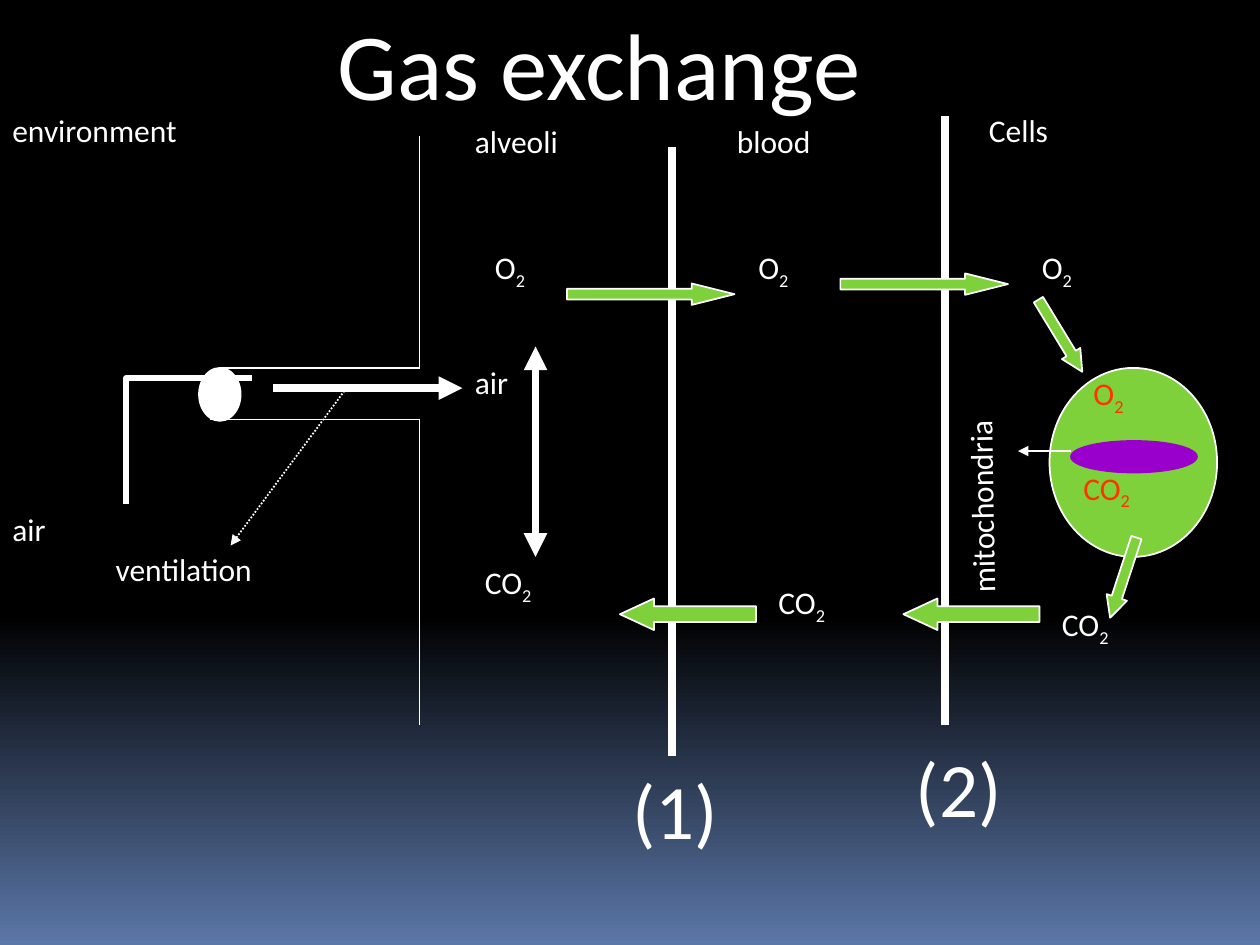
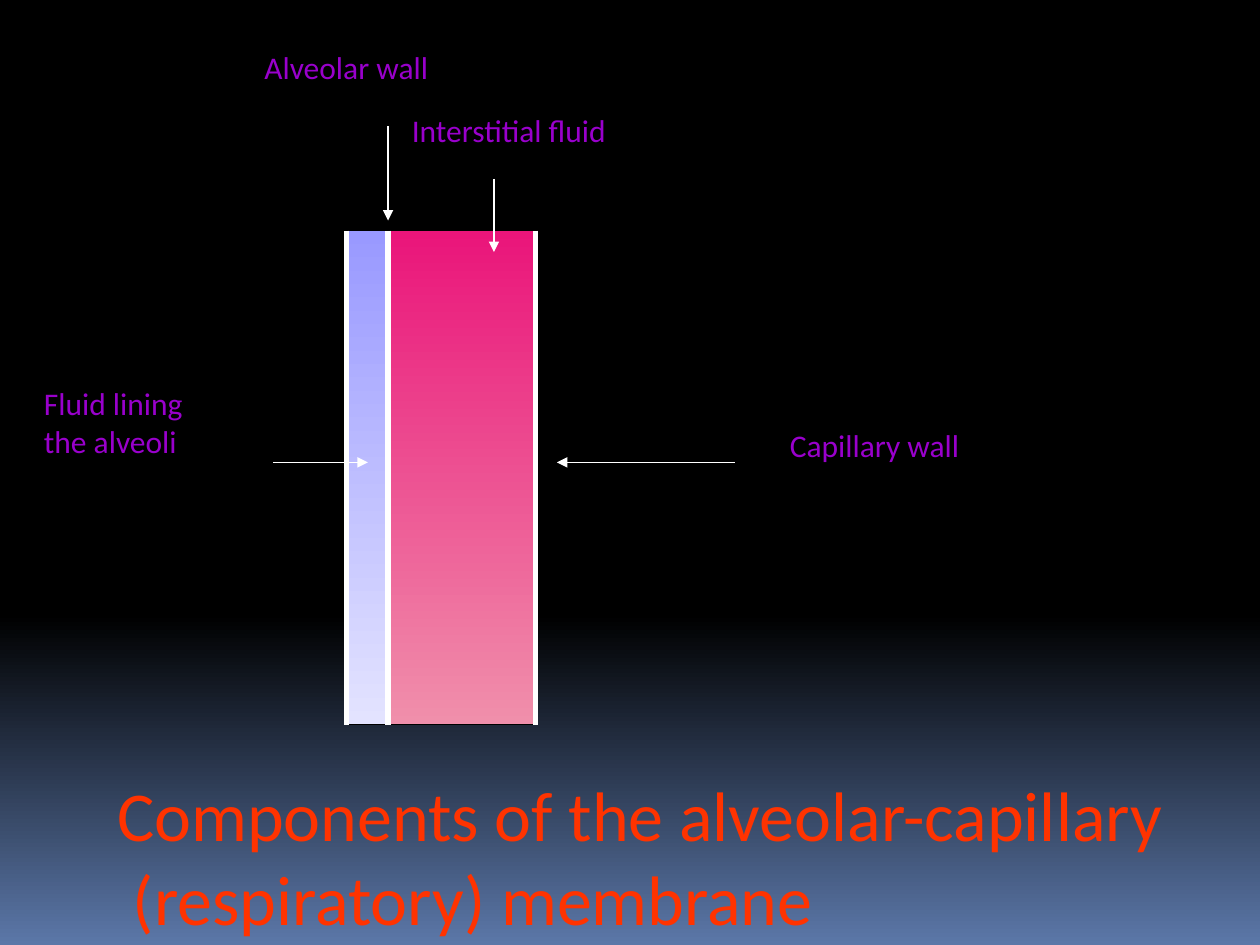
from copy import deepcopy

from pptx import Presentation
from pptx.dml.color import RGBColor
from pptx.enum.dml import MSO_LINE
from pptx.enum.shapes import MSO_CONNECTOR, MSO_SHAPE
from pptx.enum.text import MSO_ANCHOR, MSO_AUTO_SIZE, PP_ALIGN
from pptx.oxml.ns import qn
from pptx.util import Inches, Pt

FONT = "Calibri"
WHITE = RGBColor(0xFF, 0xFF, 0xFF)
BLACK = RGBColor(0x00, 0x00, 0x00)
STEEL_BLUE = RGBColor(0x5B, 0x77, 0xA8)
GREEN = RGBColor(0x7F, 0xD1, 0x3B)
PURPLE = RGBColor(0x99, 0x00, 0xCC)
RED = RGBColor(0xFF, 0x33, 0x00)
PINK = RGBColor(0xEA, 0x15, 0x7A)
PALE_PINK = RGBColor(0xF0, 0x8F, 0xAB)
LILAC = RGBColor(0x99, 0x99, 0xFF)
PALE_LILAC = RGBColor(0xE3, 0xE3, 0xFF)
BACKGROUND_STOPS = [(0, BLACK), (0.65, BLACK), (1, STEEL_BLUE)]


def write_text(slide, text, left, top, width, height=0.57, size=18, color=WHITE,
               subscript="", rotation=0, title=False):
    if title:
        shape = slide.shapes.title
        shape.left, shape.top = Inches(left), Inches(top)
        shape.width, shape.height = Inches(width), Inches(height)
    else:
        shape = slide.shapes.add_textbox(
            Inches(left), Inches(top), Inches(width), Inches(height))
    shape.rotation = rotation
    frame = shape.text_frame
    frame.word_wrap = True
    frame.auto_size = MSO_AUTO_SIZE.NONE
    frame.vertical_anchor = MSO_ANCHOR.TOP
    frame.text = text
    if subscript:
        run = frame.paragraphs[0].add_run()
        run.text = subscript
        run.font._element.set("baseline", "-25000")
    for paragraph in frame.paragraphs:
        paragraph.alignment = PP_ALIGN.LEFT
        for run in paragraph.runs:
            run.font.name = FONT
            run.font.size = Pt(size)
            run.font.color.rgb = color


def draw_line(slide, start, end, width=1, dash=None, arrows=()):
    connector = slide.shapes.add_connector(
        MSO_CONNECTOR.STRAIGHT, *[Inches(value) for value in (*start, *end)])
    connector.line.color.rgb = WHITE
    connector.line.width = Pt(width)
    if dash:
        connector.line.dash_style = dash
    outline = connector.line._get_or_add_ln()
    for arrow in arrows:
        outline.append(outline.makeelement(qn(f"a:{arrow}"), {"type": "triangle"}))
    properties = connector._element.spPr
    properties.append(properties.makeelement(qn("a:effectLst"), {}))


presentation = Presentation()
presentation.slide_width = Inches(10)
presentation.slide_height = Inches(7.5)
title_only = presentation.slide_layouts[5]
exchange = presentation.slides.add_slide(title_only)
membrane = presentation.slides.add_slide(title_only)
gradients = [(slide.background.fill, BACKGROUND_STOPS) for slide in (exchange, membrane)]

write_text(exchange, "Gas exchange", 2.58, 0, 4.76, 1, size=54, title=True)

for start, end, width in [
    ((3.33, 1.08), (3.33, 2.92), 1),
    ((3.33, 3.33), (3.33, 5.75), 1),
    ((5.33, 1.17), (5.33, 6), 4.5),
    ((7.5, 0.92), (7.5, 5.75), 4.5),
    ((3.33, 2.92), (1.75, 2.92), 1),
    ((3.33, 3.33), (1.67, 3.33), 1),
]:
    draw_line(exchange, start, end, width)

for kind, left, top, width, height, rotation, head, fill, outline in [
    (MSO_SHAPE.OVAL, 1.58, 2.92, 0.33, 0.42, 0, None, WHITE, WHITE),
    (MSO_SHAPE.RIGHT_ARROW, 4.5, 2.25, 1.33, 0.17, 0, 2, GREEN, WHITE),
    (MSO_SHAPE.RIGHT_ARROW, 6.67, 2.17, 1.33, 0.17, 0, 2, GREEN, WHITE),
    (MSO_SHAPE.OVAL, 8.33, 2.92, 1.33, 1.5, 0, None, GREEN, WHITE),
    (MSO_SHAPE.OVAL, 8.5, 3.5, 1, 0.25, 0, None, PURPLE, PURPLE),
    (MSO_SHAPE.LEFT_ARROW, 7.17, 4.75, 1.08, 0.25, 0, 1.08, GREEN, WHITE),
    (MSO_SHAPE.LEFT_ARROW, 4.92, 4.75, 1.08, 0.25, 0, 1.08, GREEN, WHITE),
    (MSO_SHAPE.RIGHT_ARROW, 8.08, 2.58, 0.67, 0.17, 58.7, 1, GREEN, WHITE),
    (MSO_SHAPE.RIGHT_ARROW, 8.58, 4.5, 0.67, 0.17, 108.2, 1, GREEN, WHITE),
]:
    shape = exchange.shapes.add_shape(
        kind, Inches(left), Inches(top), Inches(width), Inches(height))
    shape.rotation = rotation
    shape.shadow.inherit = False
    shape.fill.solid()
    shape.fill.fore_color.rgb = fill
    shape.line.color.rgb = outline
    shape.line.width = Pt(1)
    if head:
        shape.adjustments[0] = 0.5
        shape.adjustments[1] = head

STEPS = 16
airway_points = []
for curve in [
    [(0.75, 4.17), (0.72, 3.88), (0.68, 3.6), (0.92, 3.42)],
    [(0.92, 3.42), (1.15, 3.24), (1.96, 3.14), (2.17, 3.08)],
]:
    for step in range(STEPS + 1):
        t = step / STEPS
        weights = [(1 - t) ** 3, 3 * t * (1 - t) ** 2, 3 * t ** 2 * (1 - t), t ** 3]
        airway_points.append([
            sum(weight * value for weight, value in zip(weights, axis))
            for axis in zip(*curve)])
builder = exchange.shapes.build_freeform(*airway_points[0], scale=Inches(1))
builder.add_line_segments(airway_points[1:], close=False)
airway = builder.convert_to_shape()
airway.shadow.inherit = False
airway.fill.background()
airway.line.color.rgb = WHITE
airway.line.width = Pt(3)

draw_line(exchange, (2.17, 3.08), (3.67, 3.08), 4.5, arrows=["tailEnd"])
draw_line(exchange, (2.75, 3.08), (1.83, 4.33), dash=MSO_LINE.ROUND_DOT, arrows=["tailEnd"])
draw_line(exchange, (8.5, 3.58), (8.08, 3.58), arrows=["tailEnd"])
draw_line(exchange, (4.25, 2.75), (4.25, 4.42), 4.5, arrows=["headEnd", "tailEnd"])

for text, left, top, width in [
    ("environment", 0, 0.83, 2.36),
    ("alveoli", 3.67, 0.92, 1.45),
    ("blood", 5.75, 0.92, 1.28),
    ("Cells", 7.75, 0.83, 1.19),
    ("ventilation", 0.82, 4.32, 2.06),
    ("air", 0, 4, 0.81),
    ("air", 3.67, 2.83, 0.81),
]:
    write_text(exchange, text, left, top, width)
write_text(exchange, "mitochondria", 6.63, 3.28, 2.47, rotation=269)

for text, left, top, color in [
    ("O", 3.83, 1.92, WHITE),
    ("O", 5.92, 1.92, WHITE),
    ("O", 8.17, 1.92, WHITE),
    ("O", 8.58, 2.92, RED),
    ("CO", 8.5, 3.67, RED),
    ("CO", 8.33, 4.75, WHITE),
    ("CO", 6.08, 4.58, WHITE),
    ("CO", 3.75, 4.42, WHITE),
]:
    write_text(exchange, text, left, top, 1.07, color=color, subscript="2")

for text, left, top in [("(1)", 4.92, 6), ("(2)", 7.17, 5.83)]:
    write_text(exchange, text, left, top, 1.22, 0.83, size=44)

write_text(membrane, "Components of the alveolar-capillary\n (respiratory) membrane",
           0.83, 6.07, 8.77, 1.43, size=40, color=RED, title=True)

LAYER_TOP, LAYER_BOTTOM = 1.83, 5.75
WALLS = [2.75, 3.08, 4.25]
for left, right, top_color, bottom_color in [
    (WALLS[1], WALLS[2], PINK, PALE_PINK),
    (WALLS[0], WALLS[1], LILAC, PALE_LILAC),
]:
    layer = membrane.shapes.add_shape(
        MSO_SHAPE.RECTANGLE, Inches(left), Inches(LAYER_TOP),
        Inches(right - left), Inches(LAYER_BOTTOM - LAYER_TOP))
    layer.shadow.inherit = False
    layer.line.color.rgb = BLACK
    layer.line.width = Pt(0.75)
    gradients.append((layer.fill, [(0, top_color), (1, bottom_color)]))
for wall in WALLS:
    draw_line(membrane, (wall, LAYER_TOP), (wall, LAYER_BOTTOM), 3)

for text, left, top, width, height, start, end in [
    ("Fluid lining\nthe alveoli", 0.25, 3, 2.32, 1.03, (2.17, 3.67), (2.92, 3.67)),
    ("Alveolar wall", 2, 0.33, 2.52, 0.57, (3.08, 1), (3.08, 1.75)),
    ("Interstitial fluid", 3.17, 0.83, 2.82, 0.57, (3.92, 1.42), (3.92, 2)),
    ("Capillary wall", 6.17, 3.33, 2.61, 0.57, (5.83, 3.67), (4.42, 3.67)),
]:
    write_text(membrane, text, left, top, width, height, color=PURPLE)
    draw_line(membrane, start, end, 0.75, arrows=["tailEnd"])

for fill, stops in gradients:
    fill.gradient()
    fill.gradient_angle = 270
    stop_list = fill.gradient_stops[0]._gs.getparent()
    while len(stop_list) < len(stops):
        stop_list.append(deepcopy(stop_list[0]))
    for gradient_stop, (position, color) in zip(fill.gradient_stops, stops):
        gradient_stop.position = position
        gradient_stop.color.rgb = color

presentation.save("out.pptx")
